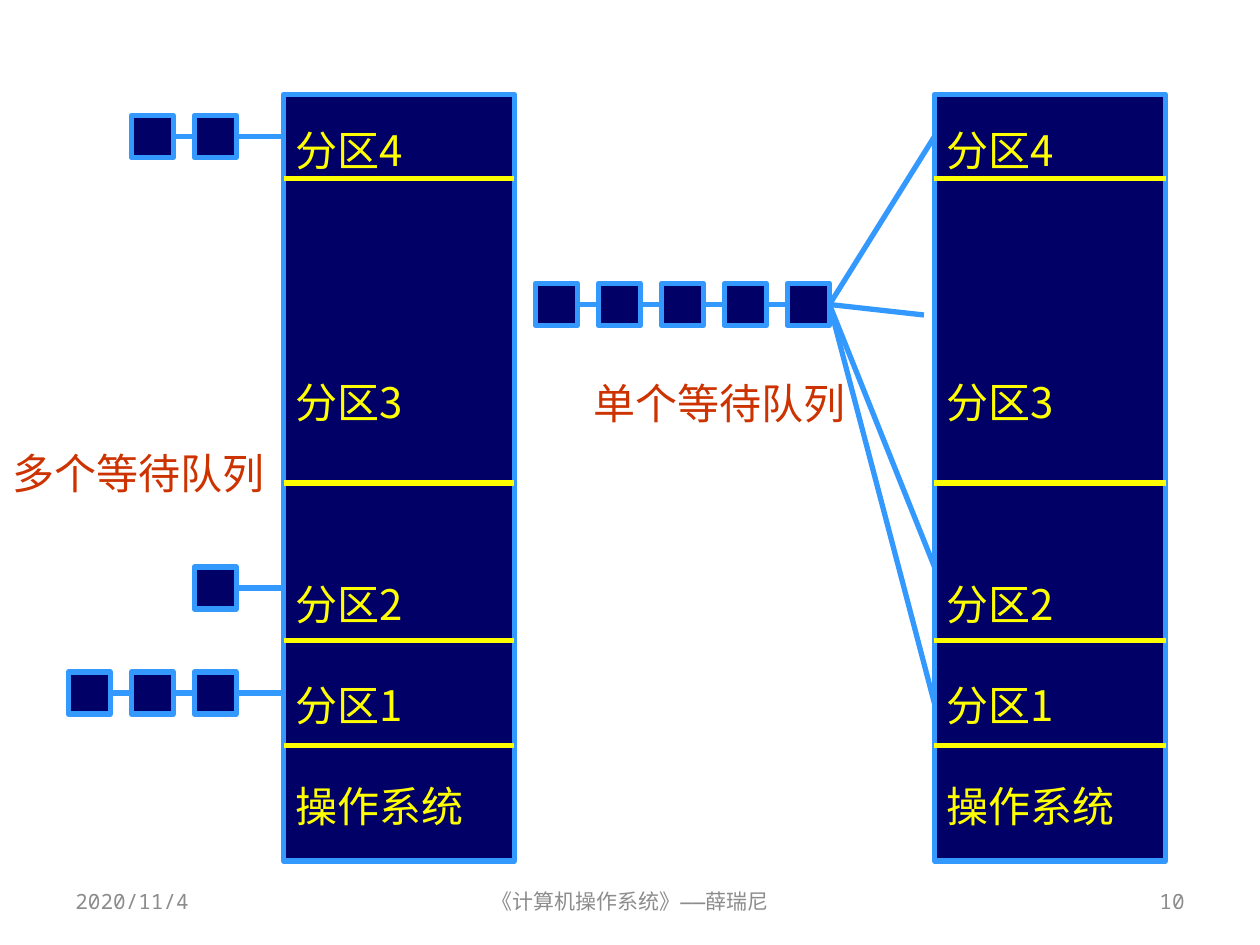
from dataclasses import dataclass

from lxml import etree
from pptx import Presentation
from pptx import util as u
from pptx.dml.color import RGBColor
from pptx.enum import shapes, text
from pptx.oxml import ns

PX = 7620
BLOCK = 40
PITCH = 60


@dataclass(frozen=True)
class Theme:
    """Colours, fonts and type sizes of the slide."""
    navy: str = "000066"
    blue: str = "3399FF"
    yellow: str = "FFFF00"
    red: str = "CC3300"
    grey: str = "8C8C8C"
    body_font: str = "Noto Sans CJK SC"
    footer_font: str = "Noto Sans Mono"
    body: int = 24
    footer: int = 12
    leading: float = 28.8
    stroke: int = 3


T = Theme()


def rgb(value):
    """Return a colour from its hex string."""
    return RGBColor.from_string(value)


def px(*values):
    """Turn px lengths into EMU."""
    return [u.Emu(v * PX) for v in values]


def add_run(p, words, size, font, color):
    """Add one run with its Latin and East Asian font."""
    r = p.add_run()
    r.text = words
    r.font.size = u.Pt(size)
    r.font.color.rgb = rgb(color)
    r.font.name = font
    ea = etree.SubElement(r.font._element, ns.qn("a:ea"))
    ea.set("typeface", font)


def add_rect(s, x, y, w, h):
    """Add a navy rectangle with a blue outline."""
    sp = s.shapes.add_shape(shapes.MSO_SHAPE.RECTANGLE, *px(x, y, w, h))
    sp.shadow.inherit = False
    sp.fill.solid()
    sp.fill.fore_color.rgb = rgb(T.navy)
    sp.line.color.rgb = rgb(T.blue)
    sp.line.width = u.Pt(T.stroke)
    return sp


def add_line(s, x1, y1, x2, y2, color=T.blue):
    """Add a straight line without a shadow."""
    cx = s.shapes.add_connector(shapes.MSO_CONNECTOR.STRAIGHT, *px(x1, y1, x2, y2))
    cx.line.color.rgb = rgb(color)
    cx.line.width = u.Pt(T.stroke)
    etree.SubElement(cx._element.spPr, ns.qn("a:effectLst"))
    return cx


def add_text(s, box, words, size, font, color, align=text.PP_ALIGN.LEFT, wrap=True):
    """Add a one-line text box centred vertically."""
    tf = s.shapes.add_textbox(*px(*box)).text_frame
    tf.word_wrap = wrap
    tf.vertical_anchor = text.MSO_ANCHOR.MIDDLE
    p = tf.paragraphs[0]
    p.alignment = align
    add_run(p, words, size, font, color)


def add_memory(s, x, y, w, h):
    """Draw the memory column with its partitions."""
    tf = add_rect(s, x, y, w, h).text_frame
    tf.word_wrap = True
    tf.vertical_anchor = text.MSO_ANCHOR.MIDDLE
    labels = [("分区4", 0), ("分区3", 4), ("分区2", 3), ("分区1", 1), ("操作系统", 1)]
    for i, (label, gap_lines) in enumerate(labels):
        p = tf.add_paragraph() if i else tf.paragraphs[0]
        p.alignment = text.PP_ALIGN.LEFT
        p.line_spacing = u.Pt(T.leading)
        p.space_before = u.Pt(gap_lines * T.leading)
        add_run(p, label, T.body, T.body_font, T.yellow)
    for dy in (80, 370, 520, 620):
        add_line(s, x, y + dy, x + w, y + dy, T.yellow)


def add_queue(s, right, y, count):
    """Draw linked blocks ending at the right edge and return the last one."""
    left = right - BLOCK - (count - 1) * PITCH
    mid = y + BLOCK // 2
    last = None
    for i in range(count):
        x = left + i * PITCH
        block = add_rect(s, x, y, BLOCK, BLOCK)
        if last is not None:
            link = add_line(s, x - PITCH + BLOCK, mid, x, mid)
            link.begin_connect(last, 3)
            link.end_connect(block, 1)
        last = block
    return last


def add_multiple_queues(s, x, y):
    """Draw one waiting queue per partition, with the caption."""
    for dy, count in ((20, 2), (450, 1), (550, 3)):
        right, top = x + 225, y + dy
        mid = top + BLOCK // 2
        last = add_queue(s, right, top, count)
        add_line(s, right, mid, right + 50, mid).begin_connect(last, 3)
    add_text(s, (x, y + 330, 265, 60), "多个等待队列",
             T.body, T.body_font, T.red, wrap=False)


def add_single_queue(s, x, y):
    """Draw the shared waiting queue fanning out to all partitions."""
    right, top = x + 280, y + 180
    last = add_queue(s, right, top, 5)
    for dx, dy in ((380, 40), (370, 210), (380, 450), (380, 580)):
        fan = add_line(s, right, top + BLOCK // 2, x + dx, y + dy)
        fan.begin_connect(last, 3)
    add_text(s, (x + 43, y + 264, 265, 60), "单个等待队列",
             T.body, T.body_font, T.red, wrap=False)


def add_footer(s, x, y, w, h):
    """Place the date, course title and page number."""
    al = text.PP_ALIGN
    for dx, width, words, align in (
        (0, 280, "2020/11/4", al.LEFT),
        ((w - 380) // 2, 380, "《计算机操作系统》——薛瑞尼", al.CENTER),
        (w - 280, 280, "10", al.RIGHT),
    ):
        add_text(s, (x + dx, y, width, h), words,
                 T.footer, T.footer_font, T.grey, align)


def main():
    """Build and save the slide."""
    prs = Presentation()
    prs.slide_width, prs.slide_height = px(1200, 900)
    s = prs.slides.add_slide(prs.slide_layouts[6])
    add_memory(s, 890, 90, 220, 730)
    add_multiple_queues(s, 0, 90)
    add_single_queue(s, 510, 90)
    add_memory(s, 270, 90, 220, 730)
    add_footer(s, 60, 834, 1080, 48)
    prs.save("out.pptx")


if __name__ == "__main__":
    main()
